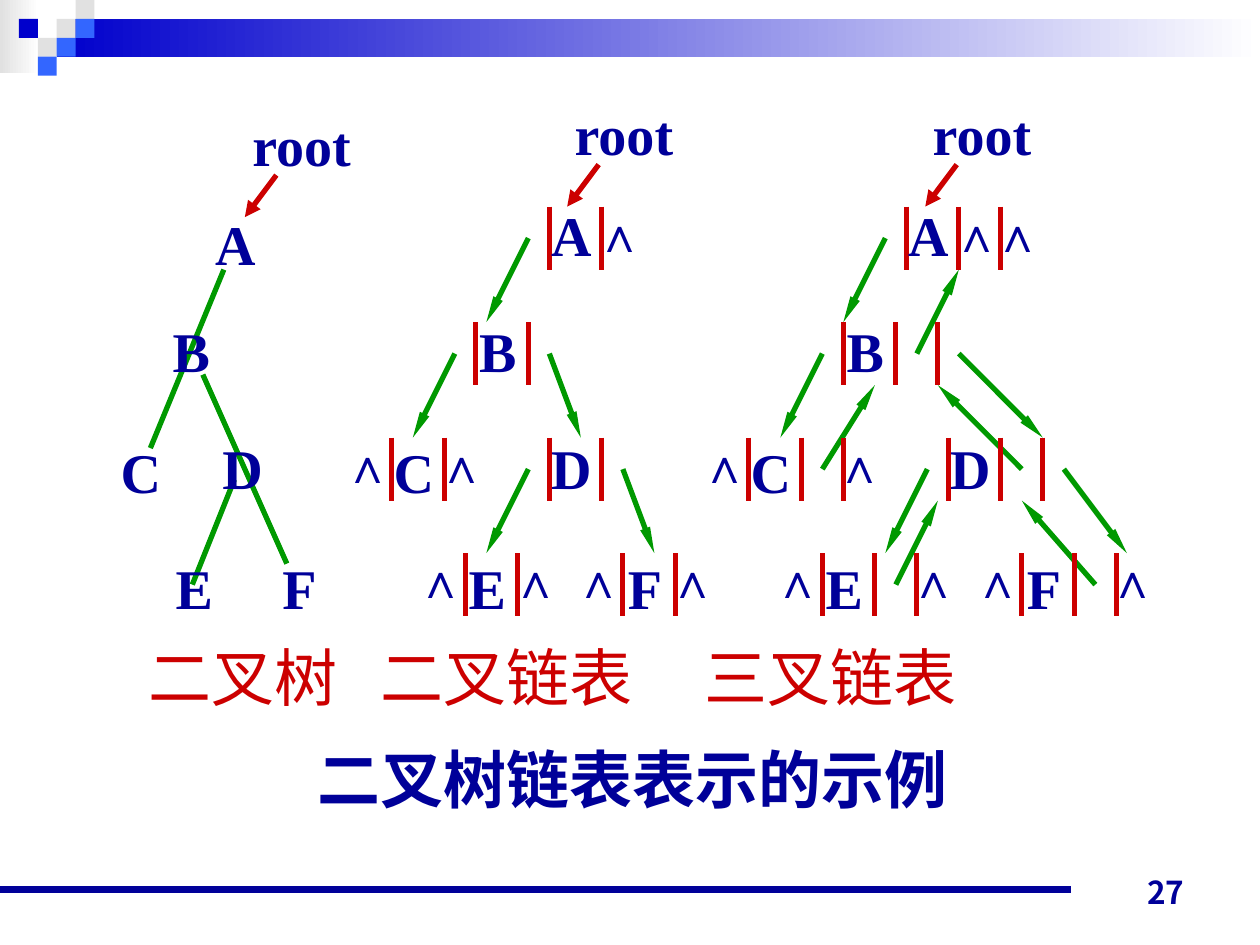
from dataclasses import dataclass

from lxml.etree import SubElement
from pptx import Presentation
from pptx.dml.color import RGBColor
from pptx.enum.shapes import MSO_CONNECTOR, MSO_SHAPE
from pptx.enum.text import MSO_ANCHOR, MSO_AUTO_SIZE, PP_ALIGN
from pptx.oxml.ns import qn
from pptx.util import Inches, Pt


@dataclass(frozen=True)
class Theme:
    navy: str = "000099"
    blue: str = "0000CC"
    sky: str = "3366FF"
    grey: str = "E1E1E1"
    white: str = "FFFFFF"
    red: str = "CC0000"
    green: str = "009900"
    latin: str = "Times New Roman"
    chinese: str = "Noto Sans CJK SC"
    number_font: str = "Noto Sans CJK JP"
    heading: int = 36
    letter: int = 32
    null: int = 28
    number: int = 18
    stroke: float = 3
    rule: float = 4.5


@dataclass(frozen=True)
class Node:
    letter: str
    row: float
    column: float
    bars: tuple = ()
    nulls: tuple = ()


THEME = Theme()

# Diagram grid: twelve units to the inch, one node row every 11 units
UNIT, GRID_LEFT, GRID_TOP = 1 / 12, 3.11, 1.64
ROW_PITCH, BAR_HEIGHT = 11, 6
LETTER_SHIFT = 2.1
LETTER_DROP = {"A": 2.6, "B": 2.7, "C": 3.2, "D": 2.8, "E": 3.2, "F": 3.2}
NULL_DROP = 2.5

# Offsets from a node's first bar
TWO_FIELDS, THREE_FIELDS = (0, 5), (0, 5, 9)
LEFT, MIDDLE, RIGHT = -2.3, 6.7, 10.6

PLAIN_TREE = [
    Node("A", 0.08, -17), Node("B", 1, -21.2), Node("C", 2, -26),
    Node("D", 2, -16.3), Node("E", 3, -20.9), Node("F", 3, -10.9),
]
BINARY_LIST = [
    Node("A", 0, 15, TWO_FIELDS, (MIDDLE,)),
    Node("B", 1, 8, TWO_FIELDS),
    Node("C", 2, 0, TWO_FIELDS, (LEFT, MIDDLE)),
    Node("D", 2, 15, TWO_FIELDS),
    Node("E", 3, 7, TWO_FIELDS, (LEFT, MIDDLE)),
    Node("F", 3, 22, TWO_FIELDS, (LEFT, MIDDLE)),
]
TERNARY_LIST = [
    Node("A", 0, 49, THREE_FIELDS, (MIDDLE, RIGHT)),
    Node("B", 1, 43, THREE_FIELDS),
    Node("C", 2, 34, THREE_FIELDS, (LEFT, RIGHT)),
    Node("D", 2, 53, THREE_FIELDS),
    Node("E", 3, 41, THREE_FIELDS, (LEFT, RIGHT)),
    Node("F", 3, 60, THREE_FIELDS, (LEFT, RIGHT)),
]

# Each line runs from (column, row) to (column, row) in grid units
TREE_EDGES = [
    ((-15, 26), (-19, 36)), ((-18, 16), (-10, 34)), ((-16, 6), (-23, 23)),
]
# (parent row, start column, end column)
CHILD_LINKS = [
    (0, 13, 9), (1, 6, 2), (2, 13, 9), (1, 15, 18), (2, 22, 25),
    (0, 47, 43), (1, 41, 37), (2, 51, 47), (1, 54, 62), (2, 64, 70),
]
# (child row, start column, end column)
PARENT_LINKS = [(1, 50, 54), (2, 41, 46), (2, 60, 52), (3, 48, 52), (3, 67, 60)]
ROOT_STARTS = [(-11, -3), (19.7, -4), (53.8, -4)]

CHECKER = [
    (2, 1, THEME.grey), (3, 0, THEME.grey), (3, 1, THEME.sky),
    (1, 2, THEME.grey), (0, 1, THEME.blue), (2, 2, THEME.sky),
    (1, 3, THEME.sky),
]


def grid_point(column, row):
    return GRID_LEFT + column * UNIT, GRID_TOP + row * UNIT


def format_text(frame, size, color, font, bold=True, align=PP_ALIGN.LEFT,
                anchor=MSO_ANCHOR.MIDDLE, wrap=True):
    frame.word_wrap = wrap
    frame.auto_size = MSO_AUTO_SIZE.NONE
    frame.vertical_anchor = anchor
    para = frame.paragraphs[0]
    para.alignment = align
    for span in para.runs:
        span.font.size = Pt(size)
        span.font.bold = bold
        span.font.name = font
        span.font.color.rgb = RGBColor.from_string(color)


def add_text(page, text, left, top, width, height, **style):
    box = page.shapes.add_textbox(*map(Inches, (left, top, width, height)))
    box.text_frame.text = text
    format_text(box.text_frame, **style)
    return box


def add_label(page, text, column, row, size=THEME.letter):
    """Centre a short label on a grid point."""
    x, y = grid_point(column, row)
    width, height = 0.3 + 0.18 * len(text), 0.63
    add_text(page, text, x - width / 2, y - height / 2, width, height,
             size=size, color=THEME.navy, font=THEME.latin,
             align=PP_ALIGN.CENTER, wrap=False)


def add_line(page, start, end, color, width=THEME.stroke, head=None):
    """Join two points in inches; head is the arrowhead's (width, length)."""
    line = page.shapes.add_connector(
        MSO_CONNECTOR.STRAIGHT, *map(Inches, (*start, *end)))
    line.line.color.rgb = RGBColor.from_string(color)
    line.line.width = Pt(width)
    if head:
        SubElement(line.line._get_or_add_ln(), qn("a:tailEnd"),
                   type="triangle", w=head[0], len=head[1])
    SubElement(line._element.spPr, qn("a:effectLst"))


def add_grid_line(page, start, end, color, head=None):
    add_line(page, grid_point(*start), grid_point(*end), color, head=head)


def add_block(page, left, top, width, height, color, fade_to=None):
    block = page.shapes.add_shape(
        MSO_SHAPE.RECTANGLE, *map(Inches, (left, top, width, height)))
    block.shadow.inherit = False
    block.line.fill.background()
    if fade_to:
        block.fill.gradient()
        block.fill.gradient_angle = 0
        for stop, shade, position in zip(
                block.fill.gradient_stops, (color, fade_to), (0, 1)):
            stop.color.rgb = RGBColor.from_string(shade)
            stop.position = position
    else:
        block.fill.solid()
        block.fill.fore_color.rgb = RGBColor.from_string(color)


def add_banner(page):
    side = 0.15
    add_block(page, 0, 0, 0.31, 0.58, THEME.grey, THEME.white)
    add_block(page, 3 * side, side, 9.55, 2 * side, THEME.blue, THEME.white)
    for column, row, color in CHECKER:
        add_block(page, (column + 1) * side, row * side, side, side, color)


def add_title(page, text):
    title = page.shapes.title
    title.left, title.top, title.width, title.height = map(
        Inches, (2.42, 5.83, 5.33, 0.7))
    title.text_frame.text = text
    format_text(title.text_frame, THEME.heading, THEME.navy, THEME.latin,
                anchor=MSO_ANCHOR.TOP)


def add_captions(page, captions, stops):
    """Set the captions on one line, each after the first at a tab stop."""
    box = add_text(page, "\t".join(captions), 1.08, 5.02, 7.7, 0.7,
                   size=THEME.heading, color=THEME.red, font=THEME.chinese,
                   bold=False)
    para = box.text_frame.paragraphs[0]
    tabs = SubElement(para._p.get_or_add_pPr(), qn("a:tabLst"))
    for stop in stops:
        SubElement(tabs, qn("a:tab"), pos=str(Inches(stop)), algn="l")
    for span in para.runs:
        SubElement(span.font._element, qn("a:ea"), typeface=THEME.chinese)


def add_links(page):
    slim, regular = ("sm", "lg"), ("med", "med")
    for start, end in TREE_EDGES:
        add_grid_line(page, start, end, THEME.green)
    for row, start, end in CHILD_LINKS:
        top = row * ROW_PITCH
        add_grid_line(page, (start, top + BAR_HEIGHT / 2),
                      (end, top + ROW_PITCH), THEME.green, slim)
    for row, start, end in PARENT_LINKS:
        top = row * ROW_PITCH
        add_grid_line(page, (start, top + BAR_HEIGHT / 2),
                      (end, top + BAR_HEIGHT - ROW_PITCH), THEME.green, slim)
    for column, row in ROOT_STARTS:
        add_grid_line(page, (column, row), (column - 3, row + 4),
                      THEME.red, regular)
        add_label(page, "root", column + 2.4, row - 3)


def add_node(page, node):
    top = node.row * ROW_PITCH
    for offset in node.bars:
        column = node.column + offset
        add_grid_line(page, (column, top), (column, top + BAR_HEIGHT), THEME.red)
    for offset in node.nulls:
        add_label(page, "∧", node.column + offset, top + NULL_DROP, THEME.null)
    add_label(page, node.letter, node.column + LETTER_SHIFT,
              top + LETTER_DROP[node.letter])


def main():
    deck = Presentation()
    deck.slide_width, deck.slide_height = Inches(10), Inches(7.5)
    page = deck.slides.add_slide(deck.slide_layouts[5])
    add_banner(page)
    add_line(page, (0, 7.06), (8.5, 7.06), THEME.navy, THEME.rule)
    add_text(page, "27", 7.17, 6.78, 2.33, 0.5, size=THEME.number,
             color=THEME.navy, font=THEME.number_font, align=PP_ALIGN.RIGHT,
             anchor=MSO_ANCHOR.BOTTOM)
    add_title(page, "二叉树链表表示的示例")
    add_links(page)
    for node in PLAIN_TREE + BINARY_LIST + TERNARY_LIST:
        add_node(page, node)
    add_captions(page, ["二叉树", "二叉链表", "三叉链表"], (1.84, 4.41))
    deck.save("out.pptx")


if __name__ == "__main__":
    main()
